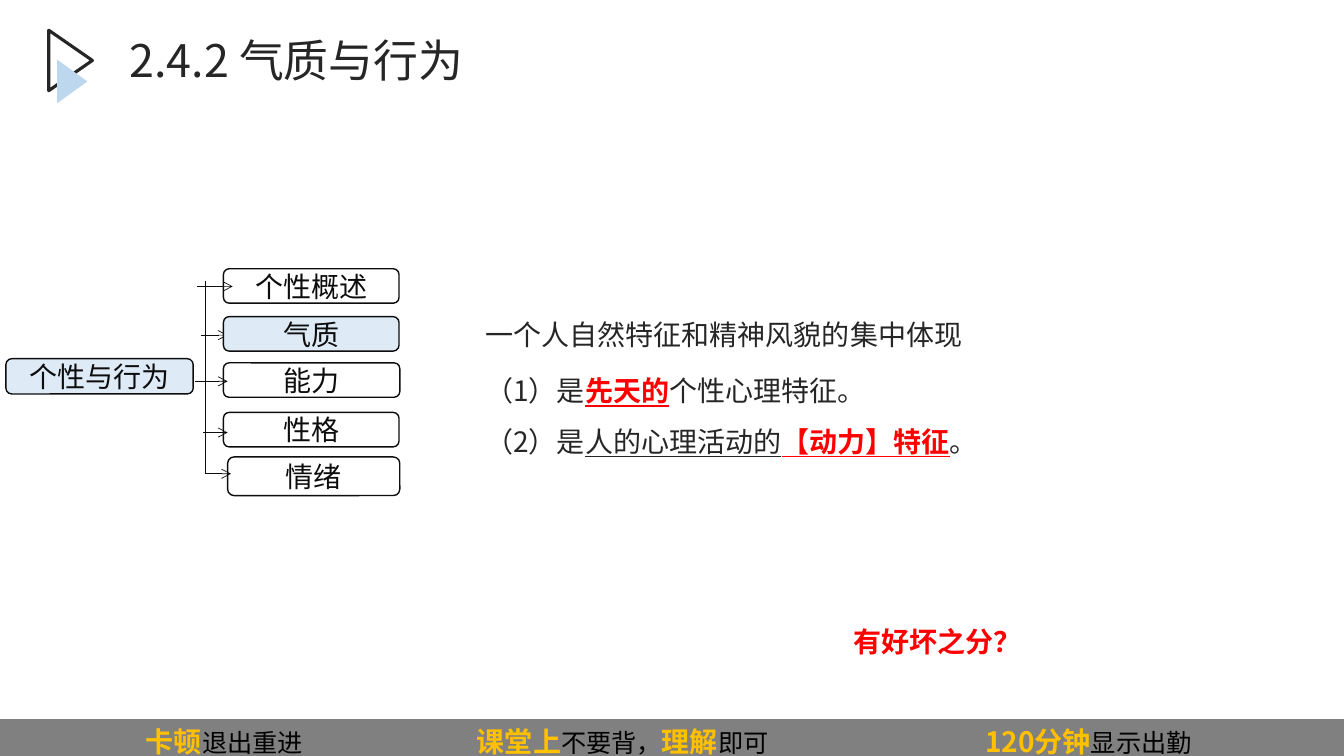
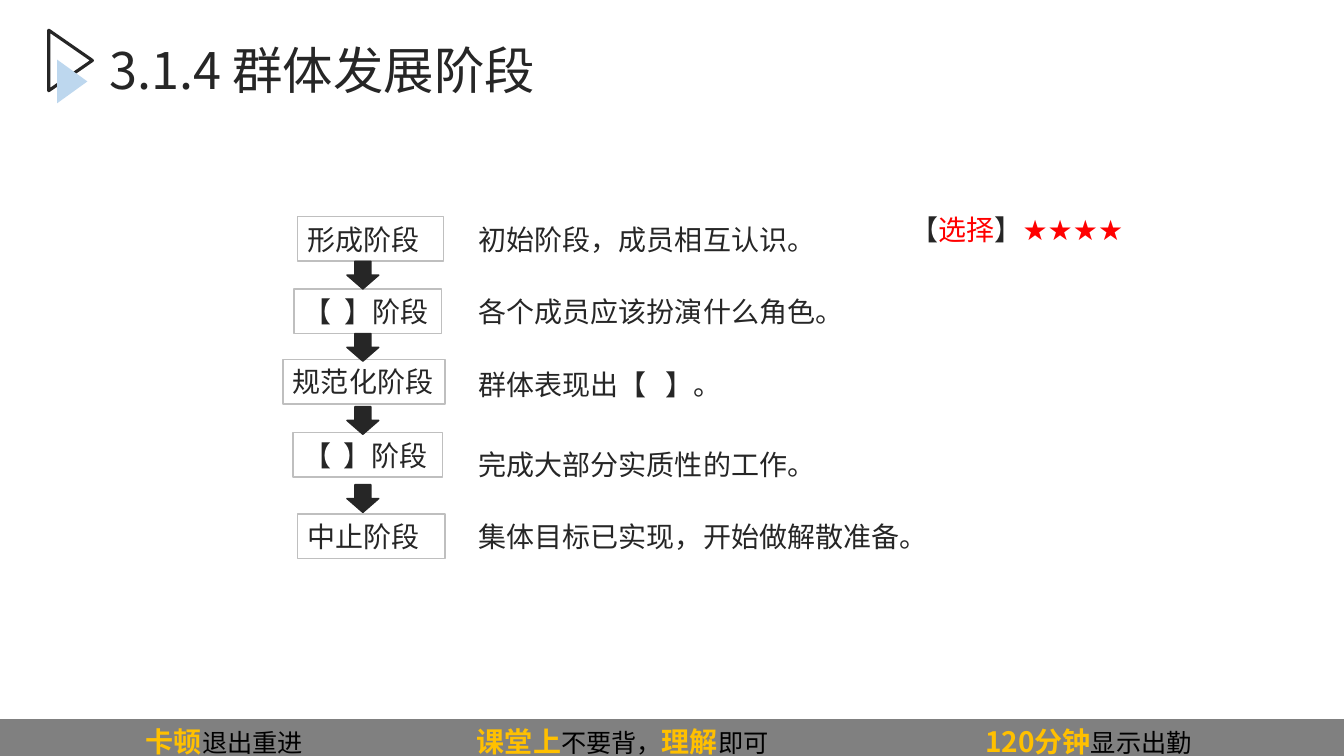
from lxml.etree import SubElement
from pptx import Presentation
from pptx.dml.color import RGBColor
from pptx.enum.shapes import MSO_CONNECTOR, MSO_SHAPE
from pptx.enum.text import MSO_ANCHOR, MSO_AUTO_SIZE, PP_ALIGN
from pptx.oxml.ns import qn
from pptx.util import Inches, Pt

FONT = "Noto Sans CJK SC"
INK, DARK, RED, GOLD = "262626", "0D0D0D", "FF0000", "FFC000"
PALE, SKY, GREY, EDGE, BLACK = "DEEBF7", "BDD7EE", "808080", "BFBFBF", "000000"
tint = RGBColor.from_string

deck = Presentation()
deck.slide_width, deck.slide_height = Inches(13.33), Inches(7.5)
COL, ROW = deck.slide_width / 160, deck.slide_height / 90


def write(shape, paras, align=PP_ALIGN.LEFT, pitch=None):
    frame = shape.text_frame
    frame.word_wrap = True
    frame.auto_size = MSO_AUTO_SIZE.NONE
    frame.vertical_anchor = MSO_ANCHOR.MIDDLE
    frame.margin_top = frame.margin_bottom = frame.margin_right = 0
    frame.margin_left = 0 if align == PP_ALIGN.CENTER else Inches(0.1)
    for i, runs in enumerate(paras):
        para = frame.add_paragraph() if i else frame.paragraphs[0]
        para.alignment = align
        if pitch:
            para.line_spacing = Pt(pitch)
        for text, size, hue, *style in runs:
            run = para.add_run()
            run.text = text
            font = run.font
            font.size = Pt(size)
            font.color.rgb = tint(hue)
            font.bold = "b" in style
            font.underline = "u" in style
            font.name = "DejaVu Sans" if "★" in text else FONT
            east = SubElement(run._r.get_or_add_rPr(), qn("a:ea"))
            east.set("typeface", font.name)


def draw(slide, kind, x, y, w, h, fill=None, line=None, width=1):
    shape = slide.shapes.add_shape(
        kind, round(x * COL), round(y * ROW), round(w * COL), round(h * ROW))
    shape.shadow.inherit = False
    if fill:
        shape.fill.solid()
        shape.fill.fore_color.rgb = tint(fill)
    else:
        shape.fill.background()
    if line:
        shape.line.color.rgb = tint(line)
        shape.line.width = Pt(width)
    else:
        shape.line.fill.background()
    return shape


FOOTER = [
    (16.2, [("卡顿", 20, GOLD, "b"), ("退出重进", 18, BLACK)]),
    (55.6, [("课堂上", 20, GOLD, "b"), ("不要背，", 18, BLACK),
            ("理解", 20, GOLD, "b"), ("即可", 18, BLACK)]),
    (116.1, [("120分钟", 20, GOLD, "b"), ("显示出勤", 18, BLACK)]),
]
TITLES = [
    ("2.4.2 气质与行为", 32, 14.2, 1.7),
    ("3.1.4 群体发展阶段", 36, 11.8, 2.9),
]
for text, size, x, y in TITLES:
    slide = deck.slides.add_slide(deck.slide_layouts[5])
    title = slide.shapes.title
    title.left, title.top = round(x * COL), round(y * ROW)
    title.width, title.height = round(92 * COL), round(10.7 * ROW)
    write(title, [[(text, size, INK)]])
    for spot, fill, line in [((4.8, 4.6, 7.2, 5.2), None, INK),
                             ((6, 7.9, 5.2, 3.6), SKY, None)]:
        mark = draw(slide, MSO_SHAPE.ISOSCELES_TRIANGLE, *spot, fill, line, 2.25)
        mark.rotation = 90
    draw(slide, MSO_SHAPE.RECTANGLE, 0, 85.6, 160, 4.4, GREY)
    for left, runs in FOOTER:
        note = slide.shapes.add_textbox(
            round(left * COL), round(86.4 * ROW), round(36 * COL), round(3.6 * ROW))
        write(note, [runs])

traits, stages = deck.slides

LINES = [
    (24.4, 33.4, 24.4, 56.4, False),
    (23.2, 45.4, 24.9, 45.4, False),
    (23.5, 34.1, 27.7, 34.1, True),
    (23.9, 39.9, 27.1, 39.9, True),
    (24.4, 45.4, 27.1, 45.4, True),
    (24.2, 51.5, 27.1, 51.5, True),
    (24.4, 56.4, 27.5, 56.4, True),
]
for x, y, right, low, head in LINES:
    link = traits.shapes.add_connector(
        MSO_CONNECTOR.STRAIGHT, round(x * COL), round(y * ROW),
        round(right * COL), round(low * ROW))
    link.line.color.rgb = tint(DARK)
    link.line.width = Pt(0.5)
    if head:
        SubElement(link.line._get_or_add_ln(), qn("a:tailEnd")).set("type", "arrow")
    SubElement(link._element.spPr, qn("a:effectLst"))

NODES = [
    ("个性与行为", 0.7, 42.7, 22.3, 4.2, PALE),
    ("个性概述", 26.6, 32, 20.9, 4.1, None),
    ("气质", 26.6, 37.7, 20.9, 4.1, PALE),
    ("能力", 26.6, 43.2, 21, 4.1, None),
    ("性格", 26.6, 49.1, 20.9, 4.1, None),
    ("情绪", 27.1, 54.4, 20.5, 4.6, None),
]
for text, x, y, w, h, fill in NODES:
    node = draw(traits, MSO_SHAPE.ROUNDED_RECTANGLE, x, y, w, h, fill, DARK)
    write(node, [[(text, 20, DARK)]], PP_ALIGN.CENTER)

POINTS = [
    [("（1）是", 20, INK), ("先天的", 20, RED, "b", "u"), ("个性心理特征。", 20, INK)],
    [("（2）是", 20, INK), ("人的心理活动的", 20, INK, "u"),
     ("【动力】特征", 20, RED, "b", "u"), ("。", 20, INK)],
]
NOTES = [
    (traits, 56.6, 37.1, 60, 5.3, [[("一个人自然特征和精神风貌的集中体现", 20, INK)]], None),
    (traits, 56.6, 42.2, 63, 12.6, POINTS, 36),
    (traits, 100.4, 73.7, 28.2, 5.3, [[("有好坏之分？", 20, RED, "b")]], None),
    (stages, 107.2, 24.7, 32, 5.3,
     [[("【", 20, INK), ("选择", 20, RED), ("】", 20, INK), ("★★★★", 20, RED)]], None),
]

STAGES = [
    ("形成阶段", 35.4, 25.8, 17.4, 25.8, "初始阶段，成员相互认识。"),
    ("【  】阶段", 35, 34.4, 17.6, 34.4, "各个成员应该扮演什么角色。"),
    ("规范化阶段", 33.7, 42.8, 19.3, 43.1, "群体表现出【   】。"),
    ("【  】阶段", 34.9, 51.5, 17.8, 52.6, "完成大部分实质性的工作。"),
    ("中止阶段", 35.4, 61.2, 17.6, 61.2, "集体目标已实现，开始做解散准备。"),
]
for text, x, y, w, top, gist in STAGES:
    step = draw(stages, MSO_SHAPE.RECTANGLE, x, y, w, 5.3, None, EDGE)
    write(step, [[(text, 20, INK)]])
    NOTES.append((stages, 55.8, top, 60, 5.3, [[(gist, 20, INK)]], None))
for y in (31.1, 39.7, 48.4, 57.7):
    draw(stages, MSO_SHAPE.DOWN_ARROW, 41.3, y, 3.8, 3.3, INK, INK)

for slide, x, y, w, h, paras, pitch in NOTES:
    note = slide.shapes.add_textbox(
        round(x * COL), round(y * ROW), round(w * COL), round(h * ROW))
    write(note, paras, pitch=pitch)

deck.save("out.pptx")
